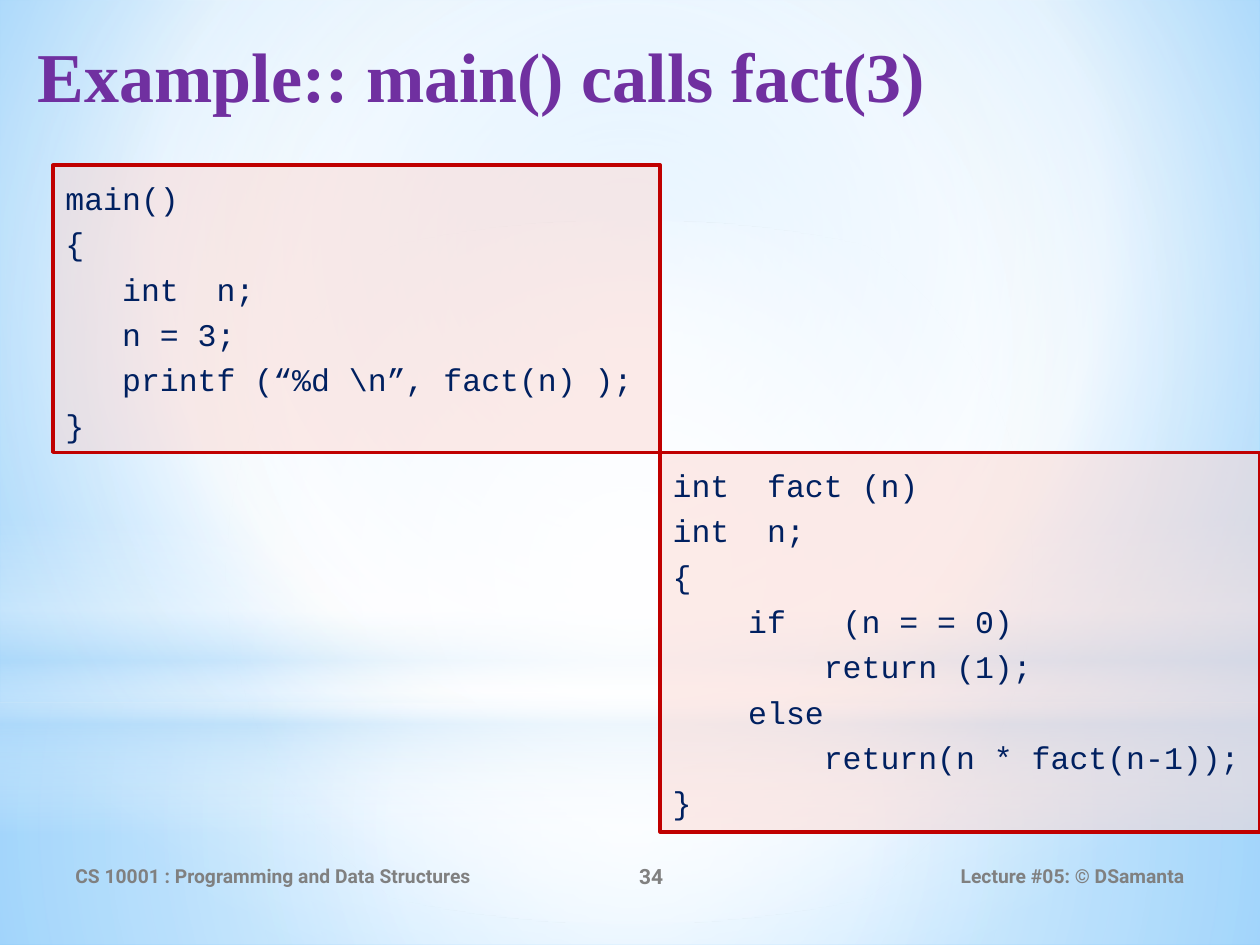
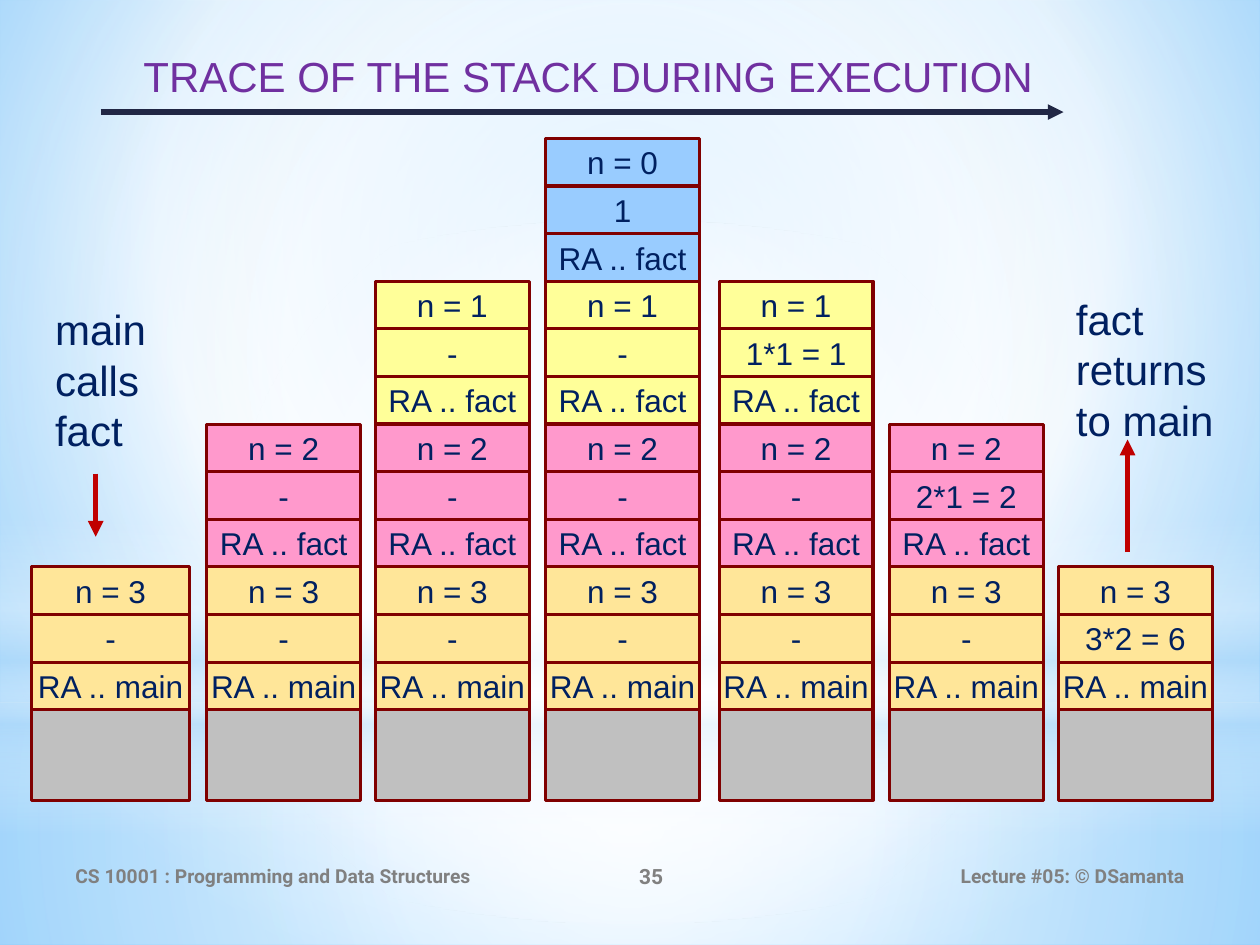
from dataclasses import dataclass
from lxml.etree import SubElement
from pptx import Presentation
from pptx.dml.color import RGBColor
from pptx.enum.shapes import MSO_CONNECTOR, MSO_SHAPE
from pptx.enum.text import MSO_ANCHOR, MSO_AUTO_SIZE, PP_ALIGN
from pptx.oxml import parse_xml
from pptx.oxml.ns import nsdecls, qn
from pptx.util import Cm, Pt


@dataclass(frozen=True)
class Theme:
    navy: str = "002060"
    purple: str = "7030A0"
    grey: str = "808080"
    red: str = "C00000"
    maroon: str = "800000"
    ink: str = "212745"
    rose: str = "FCD9D3"
    white: str = "FFFFFF"
    sky: str = "B4DCFA"
    base: str = "C0C0C0"
    frames: tuple = ("99CCFF", "FFFF99", "FF99CC", "FFE699")
    sans: str = "Arial"
    serif: str = "Times New Roman"
    mono: str = "Courier New"
    foot: str = "Roboto"
    title: int = 40
    head: int = 24
    body: int = 18
    page: int = 12
    note: int = 11


T = Theme()


def write(frame, lines, size, font, color, align=PP_ALIGN.LEFT, bold=False, space=None):
    for i, line in enumerate(lines):
        para = frame.add_paragraph() if i else frame.paragraphs[0]
        para.alignment = align
        para.line_spacing = space
        run = para.add_run()
        run.text = line
        run.font.size = Pt(size)
        run.font.name = font
        run.font.bold = bold
        run.font.color.rgb = RGBColor.from_string(color)


def blend(node, stops, shade):
    marks = "".join(
        f'<a:gs pos="{pos * 1000}"><a:srgbClr val="{color}">'
        f'<a:alpha val="{alpha * 1000}"/></a:srgbClr></a:gs>'
        for pos, color, alpha in stops)
    old = node.find(".//" + qn("a:solidFill"))
    old.getparent().replace(old, parse_xml(
        f'<a:gradFill {nsdecls("a")} rotWithShape="1">'
        f'<a:gsLst>{marks}</a:gsLst>{shade}</a:gradFill>'))


prs = Presentation()
prs.slide_width = Cm(25.4)
prs.slide_height = Cm(19.05)
layout = prs.slide_layouts[5]
code, trace = [prs.slides.add_slide(layout) for _ in range(2)]

master = prs.slide_master
master.background.fill.solid()
master.background.fill.fore_color.rgb = RGBColor.from_string(T.white)
ring = '<a:path path="circle"><a:fillToRect l="{}" t="{}" r="{}" b="{}"/></a:path>'
mid = ring.format(*[50000] * 4)
blend(master.element, [(0, "9ED5FF", 100), (60, T.white, 100), (100, "5BB9FF", 100)],
      ring.format(20000, 10000, 20000, 60000))

bands = [
    (MSO_SHAPE.RECTANGLE, 14.17, 4.88, mid,
     [(0, T.white, 91), (37, T.white, 76), (100, T.sky, 79)]),
    (MSO_SHAPE.RECTANGLE, 0, 14.17, mid,
     [(0, T.white, 89), (48, T.white, 62), (100, T.sky, 79)]),
    (MSO_SHAPE.RECTANGLE, 10.46, 6.35, '<a:lin ang="5400000" scaled="0"/>',
     [(0, T.white, 0), (29, T.white, 30), (45, T.sky, 40),
      (55, T.white, 26), (65, T.sky, 60), (100, T.white, 0)]),
    (MSO_SHAPE.OVAL, 4.45, 14.17, mid, [(0, T.white, 100), (56, T.white, 0)]),
]
for i, (kind, top, high, shade, stops) in enumerate(bands):
    band = code.shapes.add_shape(kind, 0, Cm(top), prs.slide_width, Cm(high))
    band.shadow.inherit = False
    band.line.fill.background()
    band.fill.solid()
    band.fill.fore_color.rgb = RGBColor.from_string(T.white)
    blend(band.element, stops, shade)
    band.element.nvSpPr.cNvPr.set("id", str(100 + i))
    master.shapes.element.insert(2 + i, band.element)

heads = [
    (code, "Example:: main() calls fact(3)", (0.51, 0.53, 24.21, 2.79),
     T.title, T.serif, PP_ALIGN.LEFT, True),
    (trace, "TRACE OF THE STACK DURING EXECUTION", (2.36, 0.89, 19, 1.27),
     T.head, T.sans, PP_ALIGN.CENTER, False),
]
for num, (slide, text, place, size, font, align, bold) in enumerate(heads, 34):
    title = slide.shapes.title
    title.left, title.top, title.width, title.height = map(Cm, place)
    title.text_frame.auto_size = MSO_AUTO_SIZE.NONE
    title.text_frame.vertical_anchor = MSO_ANCHOR.TOP
    write(title.text_frame, [text], size, font, T.purple, align, bold)
    for left, wide, note, size, align in [
        (1.27, 9.32, "CS 10001 : Programming and Data Structures", T.note, PP_ALIGN.LEFT),
        (10.59, 5.08, str(num), T.page, PP_ALIGN.CENTER),
        (17.15, 6.98, "Lecture #05: © DSamanta", T.note, PP_ALIGN.RIGHT),
    ]:
        foot = slide.shapes.add_textbox(Cm(left), Cm(17.15), Cm(wide), Cm(1.02)).text_frame
        foot.word_wrap = True
        foot.vertical_anchor = MSO_ANCHOR.MIDDLE
        write(foot, [note], size, T.foot, T.grey, align, True)

lists = [
    ((13.31, 9.12, 12.09, 7.65),
     ["int  fact (n)", "int  n;", "{", "    if   (n = = 0)", "        return (1);",
      "    else", "        return(n * fact(n-1));", "}"]),
    ((1.07, 3.33, 12.24, 5.79),
     ["main()", "{", "   int  n;", "   n = 3;", "   printf (“%d \\n”, fact(n) );", "}"]),
]
for place, lines in lists:
    box = code.shapes.add_shape(MSO_SHAPE.RECTANGLE, *map(Cm, place))
    box.shadow.inherit = False
    box.fill.solid()
    box.fill.fore_color.rgb = RGBColor.from_string(T.rose)
    tint = box.element.spPr.find(".//" + qn("a:srgbClr"))
    SubElement(tint, qn("a:alpha"), val="50000")
    box.line.color.rgb = RGBColor.from_string(T.red)
    box.line.width = Pt(2)
    box.text_frame.word_wrap = True
    box.text_frame.auto_size = MSO_AUTO_SIZE.SHAPE_TO_FIT_TEXT
    box.text_frame.vertical_anchor = MSO_ANCHOR.TOP
    write(box.text_frame, lines, T.body, T.mono, T.navy, space=1.2)

floor, step = 14.31, 0.96
stacks = [
    (0.64, 3.18, 3, "-"),
    (4.17, 3.1, 2, "-"),
    (7.57, 3.1, 1, "-"),
    (11, 3.1, 0, "1"),
    (14.5, 3.1, 1, "1*1 = 1"),
    (17.93, 3.1, 2, "2*1 = 2"),
    (21.34, 3.1, 3, "3*2 = 6"),
]
for left, wide, last, value in stacks:
    cells = [(floor, 1.82, T.base, "")]
    for n in range(3, last - 1, -1):
        caller = "main" if n == 3 else "fact"
        for text in (f"RA .. {caller}", value if n == last else "-", f"n = {n}"):
            cells.append((floor - step * len(cells), step, T.frames[n], text))
    for top, high, color, text in cells:
        cell = trace.shapes.add_shape(
            MSO_SHAPE.RECTANGLE, Cm(left), Cm(top), Cm(wide), Cm(high))
        cell.shadow.inherit = False
        cell.fill.solid()
        cell.fill.fore_color.rgb = RGBColor.from_string(color)
        cell.line.color.rgb = RGBColor.from_string(T.maroon)
        cell.line.width = Pt(1.75)
        if text:
            cell.text_frame.word_wrap = False
            cell.text_frame.vertical_anchor = MSO_ANCHOR.MIDDLE
            write(cell.text_frame, [text], T.body, T.sans, T.navy, PP_ALIGN.CENTER)

for left, top, wide, text in [
    (0.86, 6, 3.63, "main calls fact"),
    (21.44, 5.79, 3.96, "fact returns to main"),
]:
    label = trace.shapes.add_textbox(Cm(left), Cm(top), Cm(wide), Cm(3.33)).text_frame
    label.word_wrap = True
    label.auto_size = MSO_AUTO_SIZE.SHAPE_TO_FIT_TEXT
    write(label, [text], T.head, T.sans, T.navy)

for ends, color in [
    ((2.03, 2.26, 21.44, 2.26), T.ink),
    ((1.93, 9.55, 1.93, 10.82), T.red),
    ((22.73, 11.13, 22.73, 8.86), T.red),
]:
    arrow = trace.shapes.add_connector(MSO_CONNECTOR.STRAIGHT, *map(Cm, ends))
    arrow.line.color.rgb = RGBColor.from_string(color)
    arrow.line.width = Pt(3)
    props = arrow.element.spPr
    SubElement(props.find(qn("a:ln")), qn("a:tailEnd"), type="triangle")
    SubElement(props, qn("a:effectLst"))

prs.save("out.pptx")
